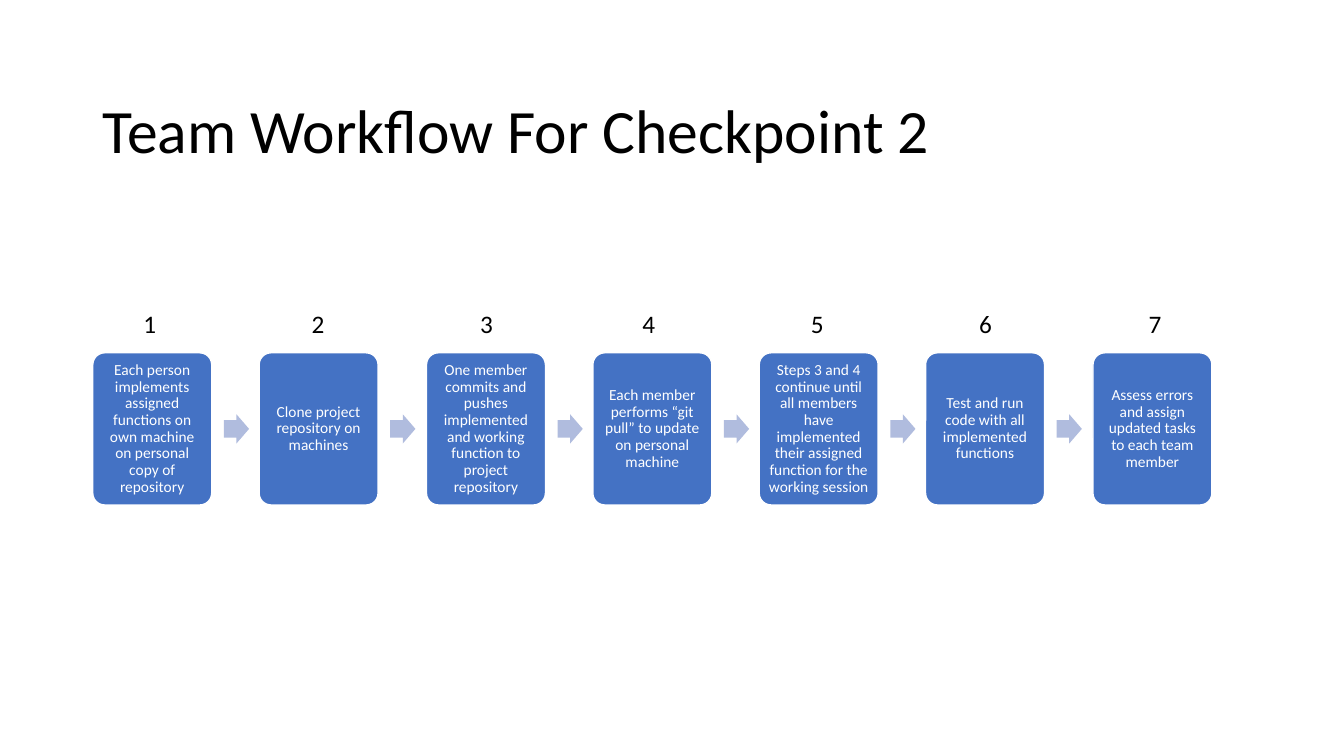
from pptx import Presentation, util as u
from pptx.dml.color import RGBColor
from pptx.enum import shapes, text

PX = 9144  # 100 px to the inch
theme = {
    "font": "Calibri",
    "ink": RGBColor(0x00, 0x00, 0x00),
    "paper": RGBColor(0xFF, 0xFF, 0xFF),
    "card": RGBColor(0x44, 0x72, 0xC4),
    "arrow": RGBColor(0xB0, 0xBC, 0xDE),
    "title": 44,
    "number": 18,
    "step": 11,
}

steps = [
    "Each person implements assigned functions on own machine on personal copy of repository",
    "Clone project repository on machines",
    "One member commits and pushes implemented and working function to project repository",
    "Each member performs “git pull” to update on personal machine",
    "Steps 3 and 4 continue until all members have implemented their assigned function for the working session",
    "Test and run code with all implemented functions",
    "Assess errors and assign updated tasks to each team member",
]
label_x = [92, 259, 426, 587, 754, 921, 1089]
card_x, pitch = 92, 165.3

deck = Presentation()
deck.slide_width, deck.slide_height = 1333 * PX, 750 * PX
slide = deck.slides.add_slide(deck.slide_layouts[6])


def write(shape, words, size, color, align, anchor):
    """Put one styled paragraph into a shape."""
    frame = shape.text_frame
    frame.word_wrap = True
    frame.vertical_anchor = anchor
    para = frame.paragraphs[0]
    para.text = words
    para.alignment = align
    para.font.name = theme["font"]
    para.font.size = u.Pt(size)
    para.font.color.rgb = color
    return frame, para


def block(kind, box, fill, adjust):
    """Add a flat filled preset shape."""
    shape = slide.shapes.add_shape(kind, *[n * PX for n in box])
    shape.shadow.inherit = False
    shape.fill.solid()
    shape.fill.fore_color.rgb = fill
    shape.line.fill.background()
    for i, value in enumerate(adjust):
        shape.adjustments[i] = value
    return shape


# Title
title = slide.shapes.add_textbox(92 * PX, 83 * PX, 1189 * PX, 98 * PX)
frame, para = write(title, "Team Workflow For Checkpoint 2", theme["title"], theme["ink"],
                    text.PP_ALIGN.LEFT, text.MSO_ANCHOR.MIDDLE)
para.line_spacing = 0.9

# Step cards, with an arrow between neighbours
for i, words in enumerate(steps):
    x = round(card_x + i * pitch)
    card = block(shapes.MSO_SHAPE.ROUNDED_RECTANGLE, (x, 350, 118, 151), theme["card"], [0.1])
    card.line.color.rgb = theme["paper"]
    card.line.width = u.Pt(1)
    frame, para = write(card, words, theme["step"], theme["paper"],
                        text.PP_ALIGN.CENTER, text.MSO_ANCHOR.MIDDLE)
    para.line_spacing = 0.9
    frame.margin_left = frame.margin_right = frame.margin_top = frame.margin_bottom = 5 * PX
    if i < len(steps) - 1:
        block(shapes.MSO_SHAPE.RIGHT_ARROW, (x + 130, 411, 25, 29), theme["arrow"], [0.6, 0.5])

# Step numbers
for i, x in enumerate(label_x, 1):
    label = slide.shapes.add_textbox(x * PX, 301 * PX, 113 * PX, 40 * PX)
    frame, para = write(label, str(i), theme["number"], theme["ink"],
                        text.PP_ALIGN.CENTER, text.MSO_ANCHOR.TOP)
    frame.auto_size = text.MSO_AUTO_SIZE.SHAPE_TO_FIT_TEXT

deck.save("out.pptx")
